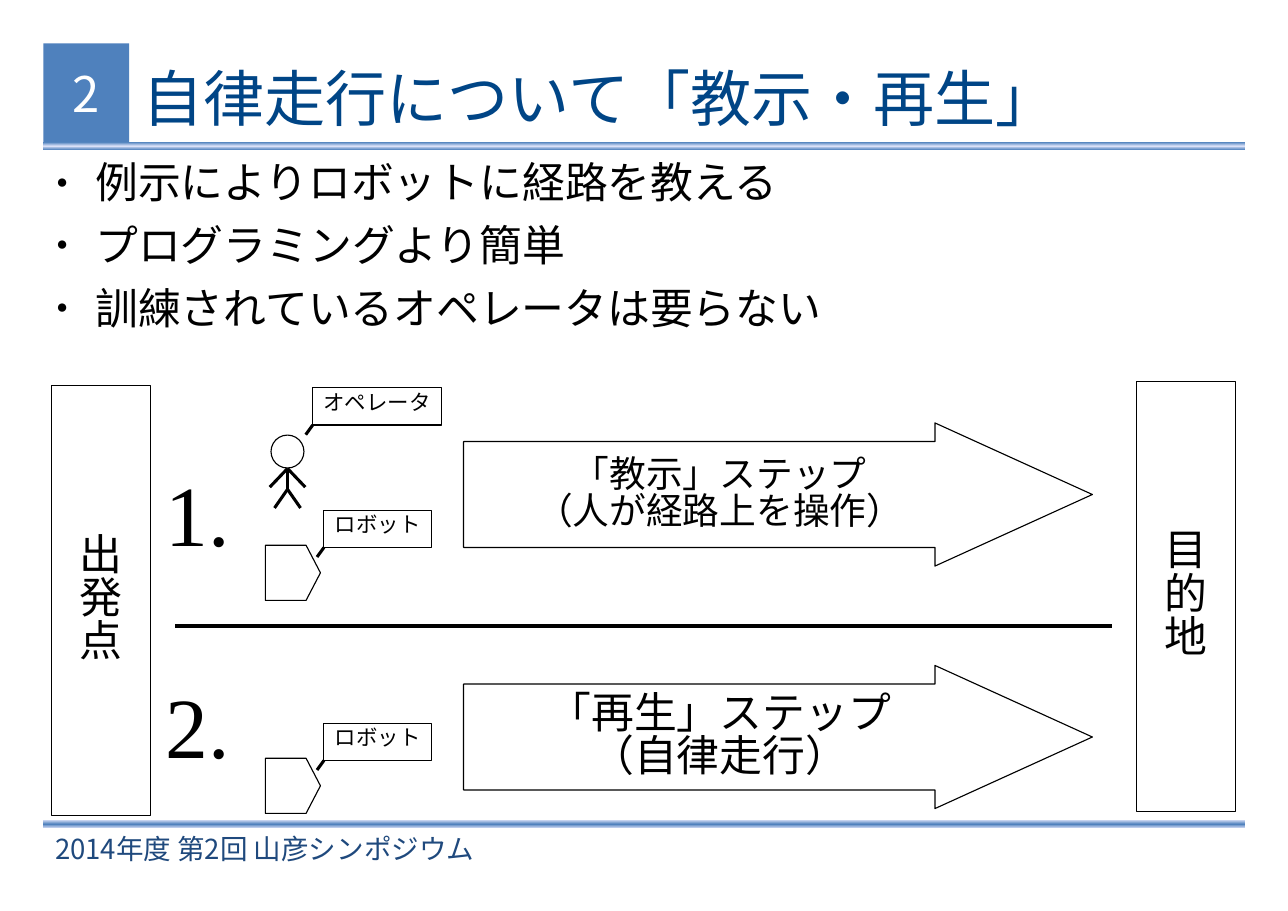
from lxml.etree import SubElement
from pptx import Presentation
from pptx.dml.color import RGBColor
from pptx.enum.shapes import MSO_CONNECTOR, MSO_SHAPE
from pptx.enum.text import MSO_ANCHOR as ANCHOR, MSO_AUTO_SIZE, PP_ALIGN as ALIGN
from pptx.oxml.ns import qn
from pptx.util import Cm, Pt

COLORS = {
    "blue": "4F81BD",
    "pale": "DAE1F8",
    "title": "004586",
    "footer": "1F497D",
    "black": "000000",
    "white": "FFFFFF",
}
CJK = "Noto Sans CJK JP"
TIMES = "Times New Roman"
TIGHT = 0.84  # line spacing that sets Japanese text close


def rgb(name):
    return RGBColor.from_string(COLORS[name])


def place(shape, x, y, w, h):
    shape.left, shape.top, shape.width, shape.height = Cm(x), Cm(y), Cm(w), Cm(h)


def write(shape, lines, size, font=TIMES, color="black", align=ALIGN.LEFT,
          anchor=ANCHOR.MIDDLE, spacing=1.0, margin=None, wrap=False,
          bulleted=False):
    """Fill a shape with one paragraph per line, all in the same format."""
    tf = shape.text_frame
    tf.auto_size = MSO_AUTO_SIZE.NONE
    tf.word_wrap = wrap
    tf.vertical_anchor = anchor
    if margin is not None:
        tf.margin_left = tf.margin_top = tf.margin_right = tf.margin_bottom = margin
    for i, line in enumerate(lines):
        p = tf.paragraphs[0] if i == 0 else tf.add_paragraph()
        p.add_run().text = line
        p.alignment = align
        p.line_spacing = spacing
        p.space_before = Pt(0)
        if bulleted:
            add_bullet(p)
        p.font.size = Pt(size)
        p.font.name = font
        p.font.color.rgb = rgb(color)
        font_props = p._p.pPr.find(qn("a:defRPr"))
        SubElement(font_props, qn("a:ea")).set("typeface", CJK)


def add_bullet(p):
    p.space_after = Pt(12.8)
    props = p._p.get_or_add_pPr()
    props.set("marL", str(Cm(1.2)))
    props.set("indent", str(-Cm(0.9)))
    SubElement(SubElement(props, qn("a:buClr")), qn("a:srgbClr")).set("val", COLORS["black"])
    SubElement(props, qn("a:buSzPct")).set("val", "45000")
    SubElement(props, qn("a:buChar")).set("char", "●")


def add_outline(shapes, kind, x, y, w, h):
    """Add an unfilled shape with a hairline border."""
    sp = shapes.add_shape(kind, Cm(x), Cm(y), Cm(w), Cm(h))
    sp.shadow.inherit = False
    sp.fill.background()
    sp.line.color.rgb = rgb("black")
    sp.line.width = Pt(0)
    return sp


def add_line(shapes, x1, y1, x2, y2):
    line = shapes.add_connector(MSO_CONNECTOR.STRAIGHT, Cm(x1), Cm(y1), Cm(x2), Cm(y2))
    line.line.color.rgb = rgb("black")
    line.line.width = Pt(0)
    SubElement(line._element.spPr, qn("a:effectLst"))


def add_gradient_rule(shapes, y, h, edge, middle):
    sp = shapes.add_shape(MSO_SHAPE.RECTANGLE, Cm(1), Cm(y), Cm(27.7), Cm(h))
    sp.shadow.inherit = False
    sp.line.fill.background()
    sp.fill.gradient()
    sp.fill.gradient_angle = 90
    stops = sp._element.spPr.find(".//" + qn("a:gsLst"))
    for stop in list(stops):
        stops.remove(stop)
    for pos, color in ((0, edge), (50000, middle), (100000, edge)):
        stop = SubElement(stops, qn("a:gs"), pos=str(pos))
        SubElement(stop, qn("a:srgbClr")).set("val", COLORS[color])


def add_text(shapes, x, y, w, h, text, size, **style):
    write(shapes.add_textbox(Cm(x), Cm(y), Cm(w), Cm(h)), [text], size, **style)


def add_page_number(shapes, number):
    sp = shapes.add_shape(MSO_SHAPE.RECTANGLE, Cm(1), Cm(1), Cm(1.98), Cm(2.28))
    sp.shadow.inherit = False
    sp.fill.solid()
    sp.fill.fore_color.rgb = rgb("blue")
    sp.line.fill.background()
    write(sp, [number], 32, font=CJK, color="white", align=ALIGN.CENTER, margin=0)


def add_label(shapes, x, y, w, text):
    """Add a name box with a short leader from its lower left corner."""
    h = 0.86
    box = add_outline(shapes, MSO_SHAPE.RECTANGLE, x, y, w, h)
    write(box, [text], 14, anchor=ANCHOR.TOP, spacing=TIGHT)
    add_line(shapes, x, y + h, x - 0.16, y + h + 0.22)


def add_operator(shapes):
    figure = shapes.add_group_shape().shapes
    x, neck, hip = 6.63, 10.8, 11.28
    add_outline(figure, MSO_SHAPE.OVAL, x - 0.38, neck - 0.77, 0.76, 0.76)
    add_line(figure, x, neck, x, hip)
    for side in (-1, 1):
        add_line(figure, x, neck, x + side * 0.41, neck + 0.43)
        add_line(figure, x, hip, x + side * 0.3, hip + 0.43)
    add_label(shapes, 7.21, 8.94, 2.97, "オペレータ")


def add_robot(shapes, y):
    body = add_outline(shapes, MSO_SHAPE.PENTAGON, 6.12, y, 1.27, 1.27)
    body.adjustments[0] = 0.26
    add_label(shapes, 7.47, y - 0.81, 2.49, "ロボット")


def add_place(shapes, x, y, name):
    """Add a tall box with the name set one character to a line."""
    box = add_outline(shapes, MSO_SHAPE.RECTANGLE, x, y, 2.29, 9.91)
    write(box, name, 28, align=ALIGN.CENTER, spacing=TIGHT)


def add_step(shapes, number, number_y, robot_y, arrow_y, lines, size):
    add_text(shapes, 3.56, number_y, 1.98, 2.44, number, 56, anchor=ANCHOR.TOP)
    add_robot(shapes, robot_y)
    arrow = add_outline(shapes, MSO_SHAPE.RIGHT_ARROW, 10.69, arrow_y, 14.5, 3.3)
    arrow.adjustments[0] = 0.74
    arrow.adjustments[1] = 1.1
    write(arrow, lines, size, align=ALIGN.CENTER, spacing=TIGHT)


def main():
    prs = Presentation()
    prs.slide_width, prs.slide_height = Cm(29.7), Cm(21)
    s = prs.slides.add_slide(prs.slide_layouts[1])
    shapes = s.shapes

    add_gradient_rule(shapes, 3.28, 0.18, "blue", "pale")
    add_page_number(shapes, "2")
    add_gradient_rule(shapes, 18.9, 0.2, "pale", "blue")
    add_text(shapes, 1.02, 19.1, 17, 0.92, "2014年度 第2回 山彦シンポジウム", 18,
             font=CJK, color="footer")

    title, body = s.placeholders
    place(title, 3.28, 1.04, 24.66, 2.41)
    write(title, ["自律走行について「教示・再生」"], 39.9, font="Arial",
          color="title", margin=0, wrap=True)
    place(body, 1, 3.78, 27.7, 4.57)
    write(body, ["例示によりロボットに経路を教える",
                 "プログラミングより簡単",
                 "訓練されているオペレータは要らない"], 28, font="Arial",
          anchor=ANCHOR.TOP, spacing=TIGHT, margin=0, wrap=True, bulleted=True)

    add_place(shapes, 1.19, 8.89, "出発点")
    add_place(shapes, 26.21, 8.79, "目的地")
    add_line(shapes, 4.04, 14.43, 25.65, 14.43)
    add_operator(shapes)
    add_step(shapes, "1.", 10.49, 12.57, 9.75,
             ["「教示」ステップ", "（人が経路上を操作）"], 24)
    add_step(shapes, "2.", 15.39, 17.48, 15.34,
             ["「再生」ステップ", "（自律走行）"], 28)
    prs.save("out.pptx")


if __name__ == "__main__":
    main()
